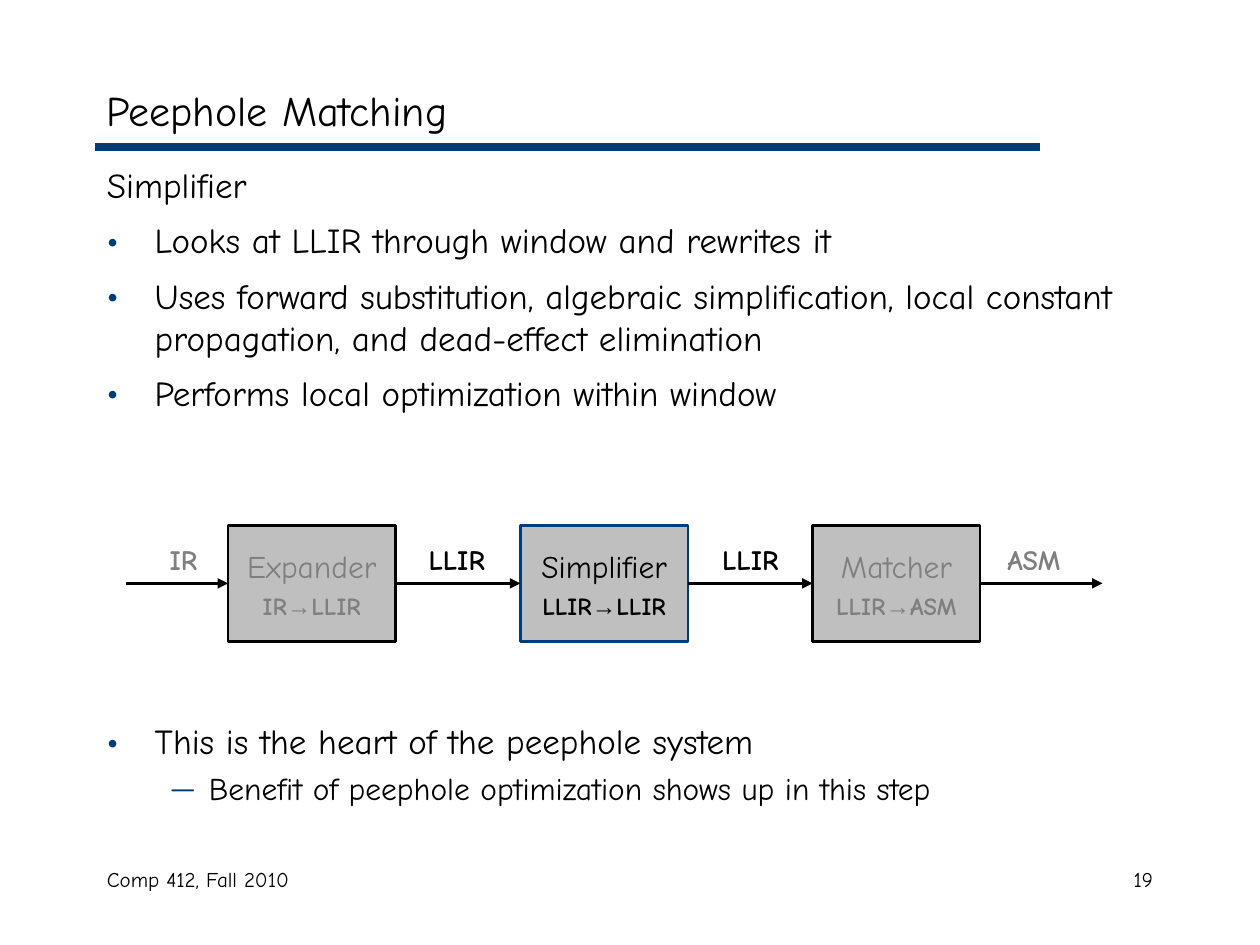
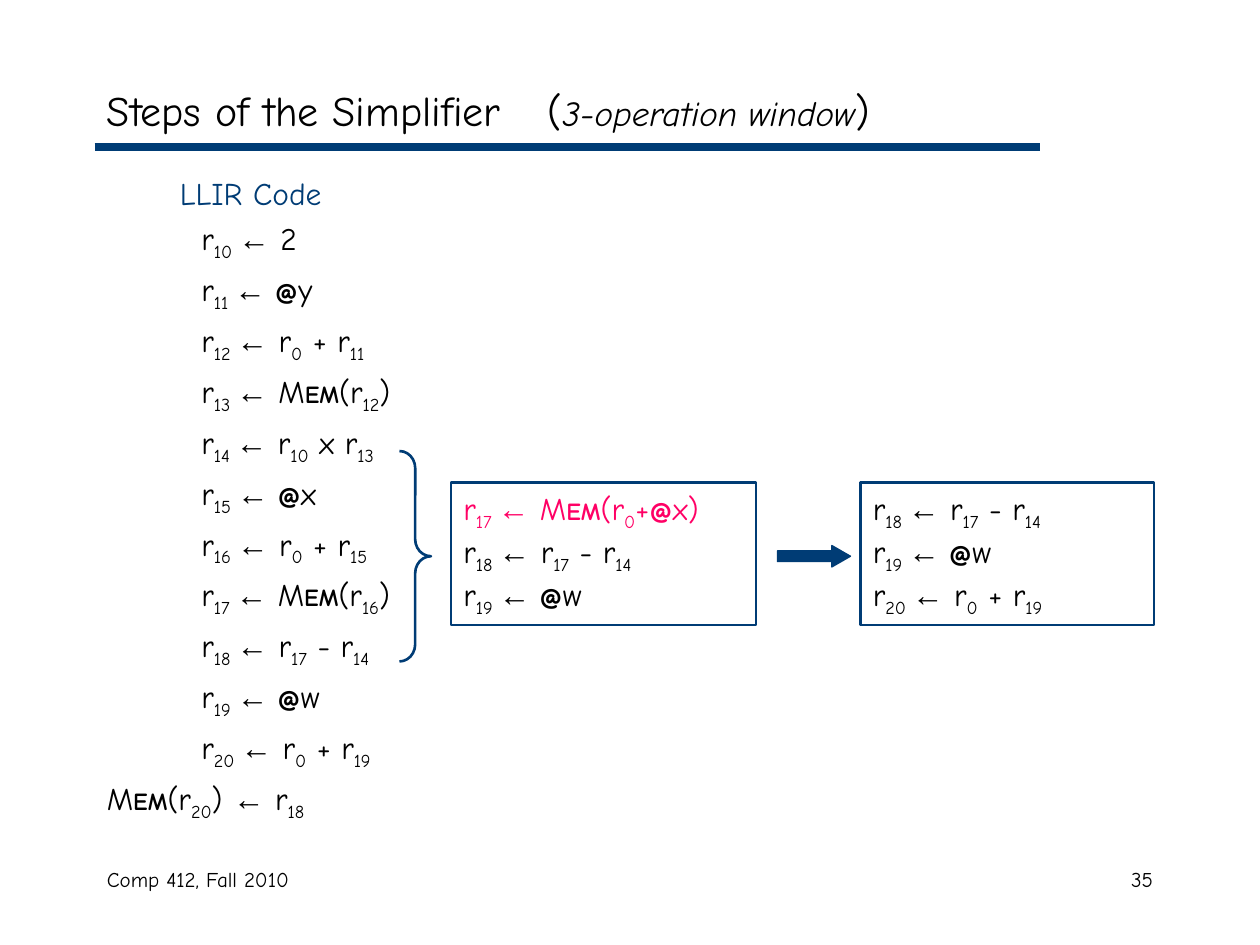
from dataclasses import dataclass

from pptx import Presentation
from pptx.dml.color import RGBColor
from pptx.enum import shapes, text
from pptx.oxml.ns import qn
from pptx.util import Inches, Pt
from lxml import etree

FONT, ARROW_FONT = "Comic Neue", "Arial"
BLACK, BLUE, GREY, SILVER, PINK = "000000", "003C75", "7F7F7F", "BFBFBF", "FF0065"
LEFT, CENTER, RIGHT = text.PP_ALIGN.LEFT, text.PP_ALIGN.CENTER, text.PP_ALIGN.RIGHT
MIDDLE, TOP = text.MSO_ANCHOR.MIDDLE, text.MSO_ANCHOR.TOP
RECT = shapes.MSO_SHAPE.RECTANGLE


@dataclass(frozen=True)
class Stage:
    name: str
    source: str
    target: str
    color: str = GREY
    line: str = BLACK


@dataclass(frozen=True)
class FlowLabel:
    text: str
    left: float
    color: str = BLACK


@dataclass(frozen=True)
class Item:
    text: str
    before: float = 7.5
    size: float = 20
    bullet: str = "•"
    bullet_size: int = 120
    margin: float = 0.38
    hang: float = 0.38


@dataclass(frozen=True)
class CodeLine:
    code: str
    color: str = BLACK
    indent: float = 0


STAGES = [
    Stage("Expander", "IR", "LLIR"),
    Stage("Simplifier", "LLIR", "LLIR", BLACK, BLUE),
    Stage("Matcher", "LLIR", "ASM"),
]
FLOW_LABELS = [
    FlowLabel("IR", 1.08, GREY),
    FlowLabel("LLIR", 3.25),
    FlowLabel("LLIR", 5.58),
    FlowLabel("ASM", 7.83, GREY),
]
ITEMS = [
    Item("Simplifier", 0, bullet=""),
    Item("Looks at LLIR through window and rewrites it"),
    Item("Uses forward substitution, algebraic simplification, local constant "
         "propagation, and dead-effect elimination"),
    Item("Performs local optimization within window"),
    Item("This is the heart of the peephole system", 175),
    Item("Benefit of peephole optimization shows up in this step",
         4.5, 18, "—", 100, 0.81, 0.31),
]
R18 = "r|18 |←| r|17| - r|14"
R19 = "r|19 |← |@|w"
R20 = "r|20 |←| r|0| + r|19"
LLIR_CODE = [
    "r|10 |←| 2",
    "r|11 |← |@|y",
    "r|12 |←| r|0| + r|11",
    "r|13 |←| M|EM|(r|12|)",
    "r|14 |←| r|10| x r|13",
    "r|15 |← |@|x",
    "r|16 |←| r|0| + r|15",
    "r|17 |←| M|EM|(r|16|)",
    R18, R19, R20,
]


def rgb(color: str) -> RGBColor:
    return RGBColor.from_string(color)


def add_text(p, content: str, *, size: float = 18, color: str = BLACK, font: str = FONT,
             bold: bool = False, italic: bool = False, base: int = 0) -> None:
    r = p.add_run()
    r.text = content
    f = r.font
    f.name, f.size, f.bold, f.italic = font, Pt(size), bold, italic
    f.color.rgb = rgb(color)
    if base:
        f._element.set("baseline", str(base * 1000))


def add_para(tf, *, align=LEFT, before: float = 0, margin: float = 0, hang: float = 0):
    p = tf.paragraphs[0]
    if p.runs:
        p = tf.add_paragraph()
        p.space_before = Pt(before)
    p.alignment = align
    pPr = p._p.get_or_add_pPr()
    pPr.set("marL", str(Inches(margin)))
    pPr.set("indent", str(-Inches(hang)))
    return p


def add_bullet(p, item: Item) -> None:
    pPr = p._p.get_or_add_pPr()
    color = etree.SubElement(pPr, qn("a:buClr"))
    etree.SubElement(color, qn("a:srgbClr"), val=BLUE)
    etree.SubElement(pPr, qn("a:buSzPct"), val=str(item.bullet_size * 1000))
    etree.SubElement(pPr, qn("a:buFont"), typeface=FONT)
    etree.SubElement(pPr, qn("a:buChar"), char=item.bullet)


def add_tab(p, position: float) -> None:
    tabs = etree.SubElement(p._p.get_or_add_pPr(), qn("a:tabLst"))
    etree.SubElement(tabs, qn("a:tab"), pos=str(Inches(position)), algn="l")


def add_box(s, left: float, top: float, width: float, height: float, anchor=TOP):
    tf = s.shapes.add_textbox(Inches(left), Inches(top), Inches(width), Inches(height)).text_frame
    tf.word_wrap = True
    tf.vertical_anchor = anchor
    return tf


def add_figure(s, kind, left: float, top: float, width: float, height: float, *,
               fill: str = "", line: str = BLUE, weight: float = 1.5):
    sp = s.shapes.add_shape(kind, Inches(left), Inches(top), Inches(width), Inches(height))
    sp.shadow.inherit = False
    if fill:
        sp.fill.solid()
        sp.fill.fore_color.rgb = rgb(fill)
    else:
        sp.fill.background()
    sp.line.color.rgb = rgb(line)
    sp.line.width = Pt(weight)
    return sp


def add_line(s, x1: float, x2: float, y: float, color: str, weight: float):
    cx = s.shapes.add_connector(shapes.MSO_CONNECTOR.STRAIGHT,
                                Inches(x1), Inches(y), Inches(x2), Inches(y))
    cx.line.color.rgb = rgb(color)
    cx.line.width = Pt(weight)
    etree.SubElement(cx._element.spPr, qn("a:effectLst"))
    return cx


def add_slide(prs, title: str, number: int):
    s = prs.slides.add_slide(prs.slide_layouts[6])
    add_line(s, 0.75, 8.25, 1.17, BLUE, 4.5)
    p = add_para(add_box(s, 0.75, 0.58, 8.5, 0.58, MIDDLE))
    add_text(p, title, size=24)
    footer = add_para(add_box(s, 0.75, 6.83, 3.17, 0.5))
    add_text(footer, "Comp 412, Fall 2010", size=12)
    page = add_para(add_box(s, 7.17, 6.83, 2.08, 0.5), align=RIGHT)
    add_text(page, str(number), size=12)
    return s, p


def add_code(tf, lines: list[CodeLine], before: float = 0) -> None:
    for line in lines:
        p = add_para(tf, before=before, margin=line.indent)
        for part in line.code.split("|"):
            if part[0].isdigit():
                add_text(p, part, color=line.color, base=-25)
            elif part[0] == "←":
                add_text(p, part, color=line.color, font=ARROW_FONT)
            elif part in ("EM", "@"):
                add_text(p, part, color=line.color, size=14 if part == "EM" else 16, bold=True)
            else:
                add_text(p, part, color=line.color)


def add_stage(s, stage: Stage, left: float):
    sp = add_figure(s, RECT, left, 4.17, 1.33, 0.92, fill=SILVER, line=stage.line)
    tf = sp.text_frame
    tf.word_wrap = False
    tf.vertical_anchor = MIDDLE
    add_text(add_para(tf, align=CENTER), stage.name, color=stage.color)
    p = add_para(tf, align=CENTER, before=3.5)
    for part, font in ((stage.source, FONT), ("→", ARROW_FONT), (stage.target, FONT)):
        add_text(p, part, size=14, color=stage.color, font=font, bold=True)
    return sp


def add_flow_arrow(s, x1: float, x2: float, source=None, target=None) -> None:
    cx = add_line(s, x1, x2, 4.63, BLACK, 1.5)
    if source is not None:
        cx.begin_connect(source, 3)
    if target is not None:
        cx.end_connect(target, 1)
    etree.SubElement(cx.line._get_or_add_ln(), qn("a:tailEnd"), type="triangle")


def add_window(s, left: float, width: float, lines: list[CodeLine]) -> None:
    tf = add_figure(s, RECT, left, 3.83, width, 1.13).text_frame
    tf.word_wrap = True
    tf.vertical_anchor = TOP
    add_code(tf, lines)


def build_matching(prs) -> None:
    s, _ = add_slide(prs, "Peephole Matching", 19)
    body = add_box(s, 0.75, 1.25, 8.5, 5.42)
    for item in ITEMS:
        p = add_para(body, before=item.before, margin=item.margin, hang=item.hang)
        if item.bullet:
            add_bullet(p, item)
        add_text(p, item.text, size=item.size)
    first, pitch, width = 1.81, 2.32, 1.33
    boxes = [add_stage(s, stage, first + i * pitch) for i, stage in enumerate(STAGES)]
    for label in FLOW_LABELS:
        p = add_para(add_box(s, label.left, 4.26, 0.75, 0.37), align=CENTER)
        add_text(p, label.text, size=16, color=label.color, bold=True)
    for i, (source, target) in enumerate(zip([None, *boxes], [*boxes, None])):
        start = first + (i - 1) * pitch + width if source is not None else 1
        end = first + i * pitch if target is not None else 8.75
        add_flow_arrow(s, start, end, source, target)


def build_steps(prs) -> None:
    s, title = add_slide(prs, "Steps of the Simplifier\t(", 35)
    add_tab(title, 3.9)
    add_text(title, "3-operation window", size=20, italic=True)
    add_text(title, ")", size=24)
    brace = add_figure(s, shapes.MSO_SHAPE.RIGHT_BRACE, 3.17, 3.58, 0.25, 1.67)
    brace.adjustments[0] = 0.54
    arrow = add_figure(s, shapes.MSO_SHAPE.RIGHT_ARROW, 6.17, 4.33, 0.58, 0.17,
                       fill=BLUE, weight=0.75)
    arrow.adjustments[1] = 0.87
    add_window(s, 6.83, 2.33, [CodeLine(R18), CodeLine(R19), CodeLine(R20)])
    add_window(s, 3.58, 2.42, [CodeLine("r|17 |←| M|EM|(r|0|+|@|x)", PINK),
                               CodeLine(R18), CodeLine(R19)])
    listing = [CodeLine("LLIR Code", BLUE, 0.58)]
    listing += [CodeLine(code, indent=0.75) for code in LLIR_CODE]
    listing.append(CodeLine("M|EM|(r|20|) |←| r|18"))
    add_code(add_box(s, 0.75, 1.33, 2.83, 5.25), listing, before=4.5)


def main() -> None:
    prs = Presentation()
    prs.slide_width, prs.slide_height = Inches(10), Inches(7.5)
    build_matching(prs)
    build_steps(prs)
    prs.save("out.pptx")


if __name__ == "__main__":
    main()
